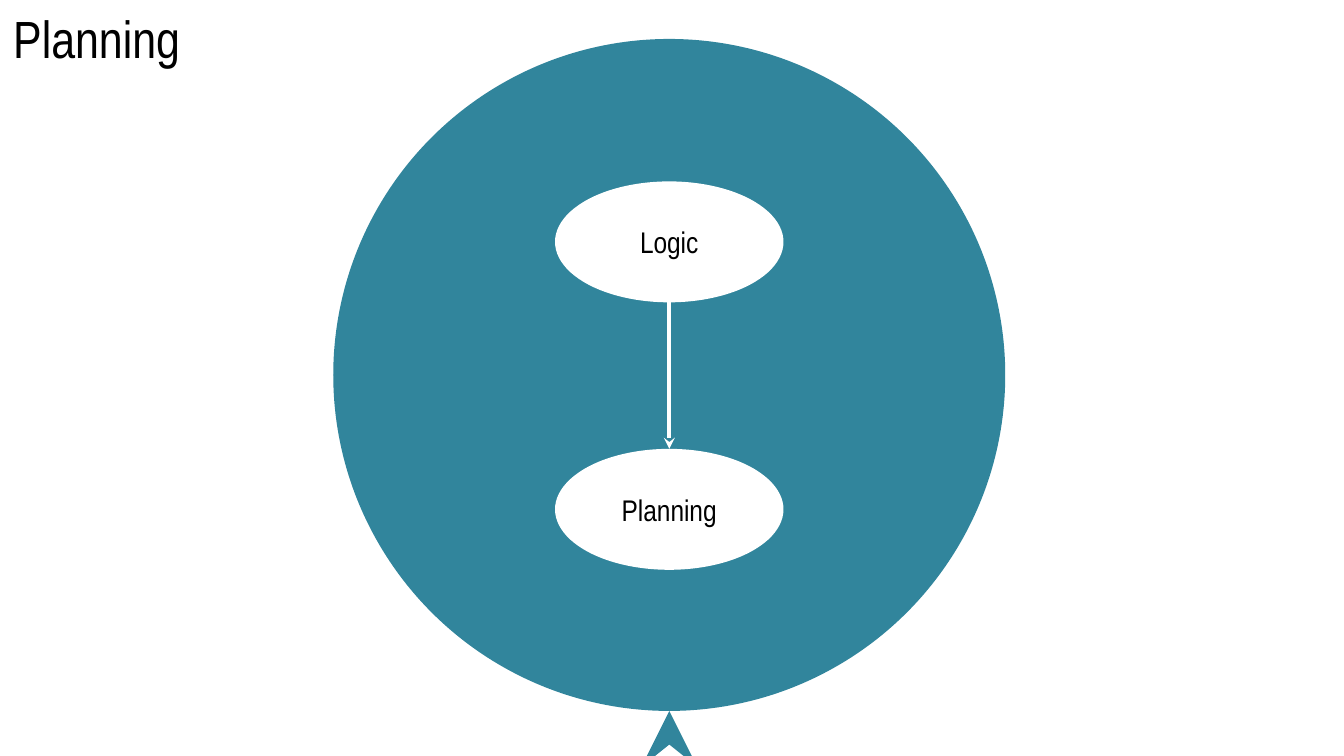
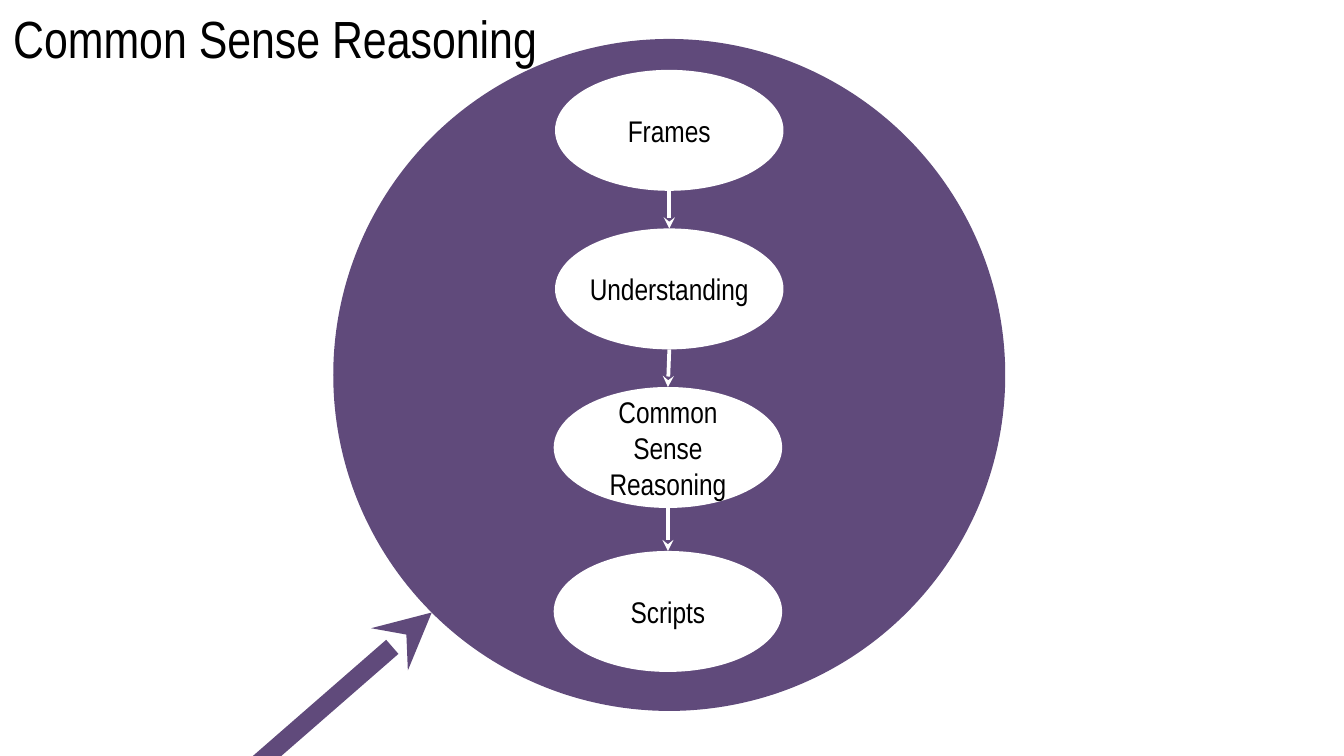
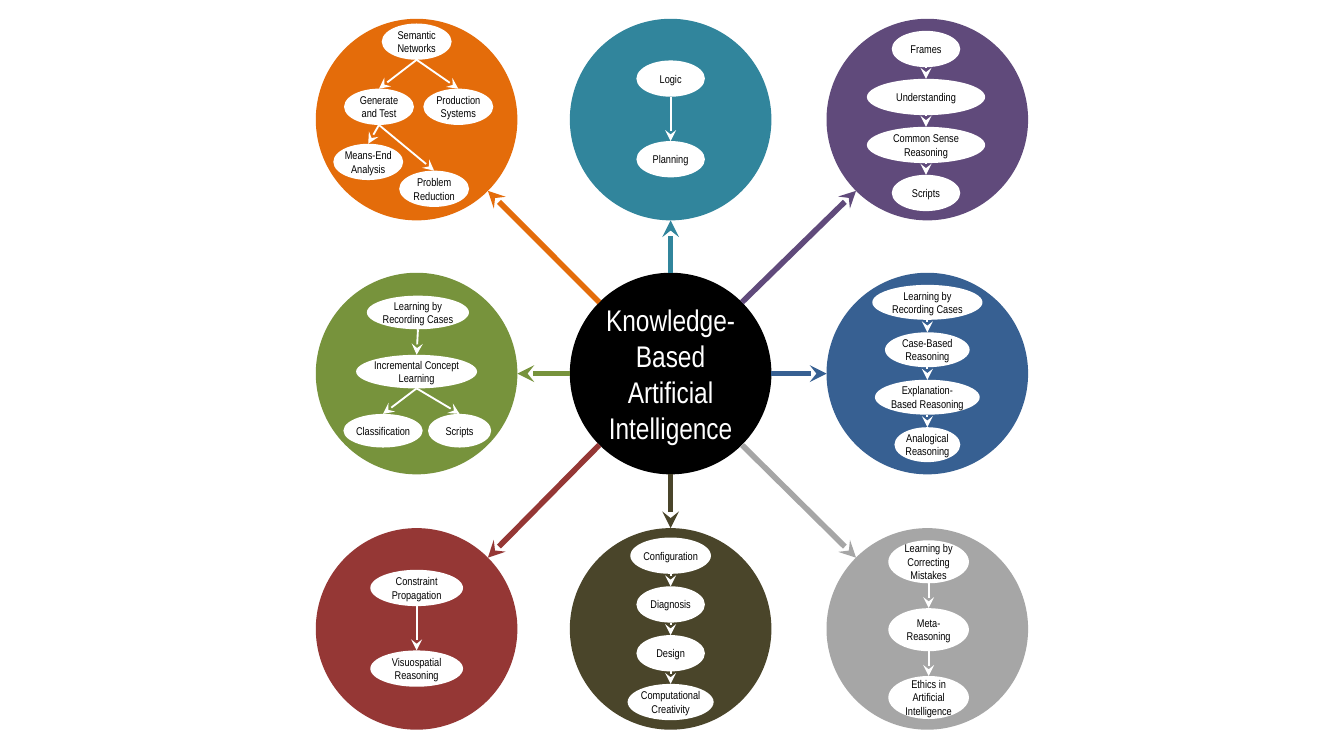
"""Build three slides that map the topics of knowledge-based artificial intelligence."""
from dataclasses import dataclass
from math import hypot
from typing import NamedTuple

from pptx import Presentation
from pptx.dml.color import RGBColor
from pptx.enum.shapes import MSO_CONNECTOR, MSO_SHAPE
from pptx.enum.text import MSO_ANCHOR, MSO_AUTO_SIZE, PP_ALIGN
from pptx.oxml.ns import qn
from pptx.slide import Slide
from pptx.text.text import TextFrame
from pptx.util import Inches, Pt
from lxml.etree import SubElement

WIDTH, HEIGHT = Inches(10), Inches(5.625)
CELL = WIDTH / 100
FONT = "Arial Narrow"

BLACK = RGBColor(0x00, 0x00, 0x00)
WHITE = RGBColor(0xFF, 0xFF, 0xFF)
ORANGE = RGBColor(0xE4, 0x6C, 0x0A)
TEAL = RGBColor(0x31, 0x85, 0x9C)
PURPLE = RGBColor(0x60, 0x4A, 0x7B)
GREEN = RGBColor(0x77, 0x93, 0x3C)
BLUE = RGBColor(0x37, 0x60, 0x92)
RED = RGBColor(0x95, 0x37, 0x35)
OLIVE = RGBColor(0x4A, 0x45, 0x2A)
GREY = RGBColor(0xA6, 0xA6, 0xA6)


class Point(NamedTuple):
    x: float
    y: float


@dataclass(frozen=True)
class Disc:
    center: Point
    radius: float
    colour: RGBColor

    def rim(self, across: int, down: int) -> Point:
        reach = self.radius / hypot(across, down)
        return Point(self.center.x + across * reach, self.center.y + down * reach)


@dataclass(frozen=True)
class Node:
    label: str
    center: float
    top: float
    width: float
    height: float


@dataclass(frozen=True)
class Topic:
    colour: RGBColor
    across: int
    down: int
    nodes: list[Node]
    links: list[tuple[int, int]]


@dataclass(frozen=True)
class TopicPage:
    title: str
    title_width: float
    colour: RGBColor
    nodes: list[Node]
    arrow_start: Point
    arrow_side: tuple[int, int]


def chain(center: float, top: float, pitch: float, height: float,
          *items: tuple[str, float]) -> list[Node]:
    return [Node(label, center, top + index * pitch, width, height)
            for index, (label, width) in enumerate(items)]


def in_order(nodes: list[Node]) -> list[tuple[int, int]]:
    return [(index, index + 1) for index in range(len(nodes) - 1)]


def chain_topic(colour: RGBColor, across: int, down: int, nodes: list[Node]) -> Topic:
    return Topic(colour, across, down, nodes, in_order(nodes))


def cells(*counts: float) -> list[int]:
    return [round(count * CELL) for count in counts]


def write(frame: TextFrame, text: str, size: float, colour: RGBColor) -> None:
    frame.word_wrap = True
    paragraph = frame.paragraphs[0]
    paragraph.text = text
    paragraph.font.name = FONT
    paragraph.font.size = Pt(size)
    paragraph.font.color.rgb = colour


def draw_ellipse(page: Slide, left: float, top: float, width: float, height: float,
                 fill: RGBColor, text: str = "", size: float = 0,
                 ink: RGBColor = BLACK) -> None:
    ellipse = page.shapes.add_shape(MSO_SHAPE.OVAL, *cells(left, top, width, height))
    ellipse.shadow.inherit = False
    ellipse.fill.solid()
    ellipse.fill.fore_color.rgb = fill
    ellipse.line.fill.background()
    if text:
        frame = ellipse.text_frame
        frame.margin_left = frame.margin_right = frame.margin_top = frame.margin_bottom = 0
        frame.vertical_anchor = MSO_ANCHOR.MIDDLE
        write(frame, text, size, ink)
        frame.paragraphs[0].alignment = PP_ALIGN.CENTER


def draw_disc(page: Slide, disc: Disc, text: str = "") -> None:
    side = 2 * disc.radius
    draw_ellipse(page, disc.center.x - disc.radius, disc.center.y - disc.radius,
                 side, side, disc.colour, text, 16, WHITE)


def draw_arrow(page: Slide, start: Point, end: Point, colour: RGBColor, weight: float) -> None:
    arrow = page.shapes.add_connector(MSO_CONNECTOR.STRAIGHT, *cells(*start, *end))
    arrow.line.color.rgb = colour
    arrow.line.width = Pt(weight)
    SubElement(arrow.line._get_or_add_ln(), qn("a:tailEnd"), type="stealth")
    SubElement(arrow._element.spPr, qn("a:effectLst"))


def draw_network(page: Slide, nodes: list[Node], links: list[tuple[int, int]],
                 size: float, weight: float) -> None:
    for node in nodes:
        draw_ellipse(page, node.center - node.width / 2, node.top,
                     node.width, node.height, WHITE, node.label, size)
    for first, second in links:
        parent, child = nodes[first], nodes[second]
        draw_arrow(page, Point(parent.center, parent.top + parent.height),
                   Point(child.center, child.top), WHITE, weight)


def draw_topic_page(page: Slide, topic: TopicPage) -> None:
    disc = Disc(Point(49.8, 27.9), 25, topic.colour)
    draw_disc(page, disc)
    draw_arrow(page, topic.arrow_start, disc.rim(*topic.arrow_side), topic.colour, 10)
    box = page.shapes.add_textbox(*cells(0, 0, topic.title_width, 5.7))
    write(box.text_frame, topic.title, 28, BLACK)
    box.text_frame.auto_size = MSO_AUTO_SIZE.SHAPE_TO_FIT_TEXT
    draw_network(page, topic.nodes, in_order(topic.nodes), 16, 2)


def draw_overview(page: Slide, topics: list[Topic]) -> None:
    columns, rows, radius = (31, 49.9, 69), (8.9, 27.8, 46.8), 7.5
    hub = Disc(Point(columns[1], rows[1]), radius, BLACK)
    draw_disc(page, hub, "Knowledge-Based Artificial Intelligence")
    for topic in topics:
        across, down = topic.across, topic.down
        disc = Disc(Point(columns[across + 1], rows[down + 1]), radius, topic.colour)
        draw_arrow(page, hub.rim(across, down), disc.rim(-across, -down), topic.colour, 3)
        draw_disc(page, disc)
        draw_network(page, topic.nodes, topic.links, 6, 1)


TOPIC_PAGES = [
    TopicPage("Planning", 35.1, TEAL,
              chain(49.8, 13.5, 19.9, 9, ("Logic", 17), ("Planning", 17)),
              Point(49.8, 56.2), (0, 1)),
    TopicPage("Common Sense Reasoning", 42.9, PURPLE, [
        Node("Frames", 49.8, 5.2, 17, 9),
        Node("Understanding", 49.8, 17, 17, 9),
        Node("Common Sense Reasoning", 49.7, 28.8, 17, 9),
        Node("Scripts", 49.7, 41, 17, 9),
    ], Point(18.9, 57.1), (-1, 1)),
]

OVERVIEW = [
    Topic(ORANGE, -1, -1, [
        Node("Semantic Networks", 31, 1.75, 5.2, 2.7),
        Node("Generate and Test", 28.2, 6.6, 5.2, 2.7),
        Node("Production Systems", 34.1, 6.6, 5.2, 2.7),
        Node("Means-End Analysis", 27.4, 10.7, 5.2, 2.7),
        Node("Problem Reduction", 32.3, 12.7, 5.2, 2.7),
    ], [(0, 1), (0, 2), (1, 3), (1, 4)]),
    chain_topic(TEAL, 0, -1, chain(
        49.9, 4.5, 6, 2.7, ("Logic", 5.1), ("Planning", 5.1))),
    chain_topic(PURPLE, 1, -1, chain(
        68.9, 2.3, 3.57, 2.7, ("Frames", 5.1), ("Understanding", 8.8),
        ("Common Sense Reasoning", 8.8), ("Scripts", 5.1))),
    Topic(GREEN, -1, 0, [
        Node("Learning by Recording Cases", 31.1, 22, 7.6, 2.5),
        Node("Incremental Concept Learning", 31, 26.4, 9, 2.5),
        Node("Classification", 28.5, 30.8, 5.9, 2.5),
        Node("Scripts", 34.2, 30.8, 4.7, 2.5),
    ], [(0, 1), (1, 2), (1, 3)]),
    chain_topic(BLUE, 1, 0, chain(
        69, 21.2, 3.53, 2.6, ("Learning by Recording Cases", 8.2),
        ("Case-Based Reasoning", 6.3), ("Explanation-Based Reasoning", 7.8),
        ("Analogical Reasoning", 4.9))),
    chain_topic(RED, -1, 1, chain(
        31, 42.4, 6, 2.7, ("Constraint Propagation", 6.9), ("Visuospatial Reasoning", 6.9))),
    chain_topic(OLIVE, 0, 1, chain(
        49.9, 40, 3.63, 2.7, ("Configuration", 6), ("Diagnosis", 5.1),
        ("Design", 5.1), ("Computational Creativity", 6.4))),
    chain_topic(GREY, 1, 1, chain(
        69.1, 40.2, 5.05, 3.2, ("Learning by Correcting Mistakes", 6),
        ("Meta-Reasoning", 6), ("Ethics in Artificial Intelligence", 6))),
]


def main() -> None:
    deck = Presentation()
    deck.slide_width, deck.slide_height = WIDTH, HEIGHT
    blank = deck.slide_layouts[6]
    for topic in TOPIC_PAGES:
        draw_topic_page(deck.slides.add_slide(blank), topic)
    draw_overview(deck.slides.add_slide(blank), OVERVIEW)
    deck.save("out.pptx")


if __name__ == "__main__":
    main()
